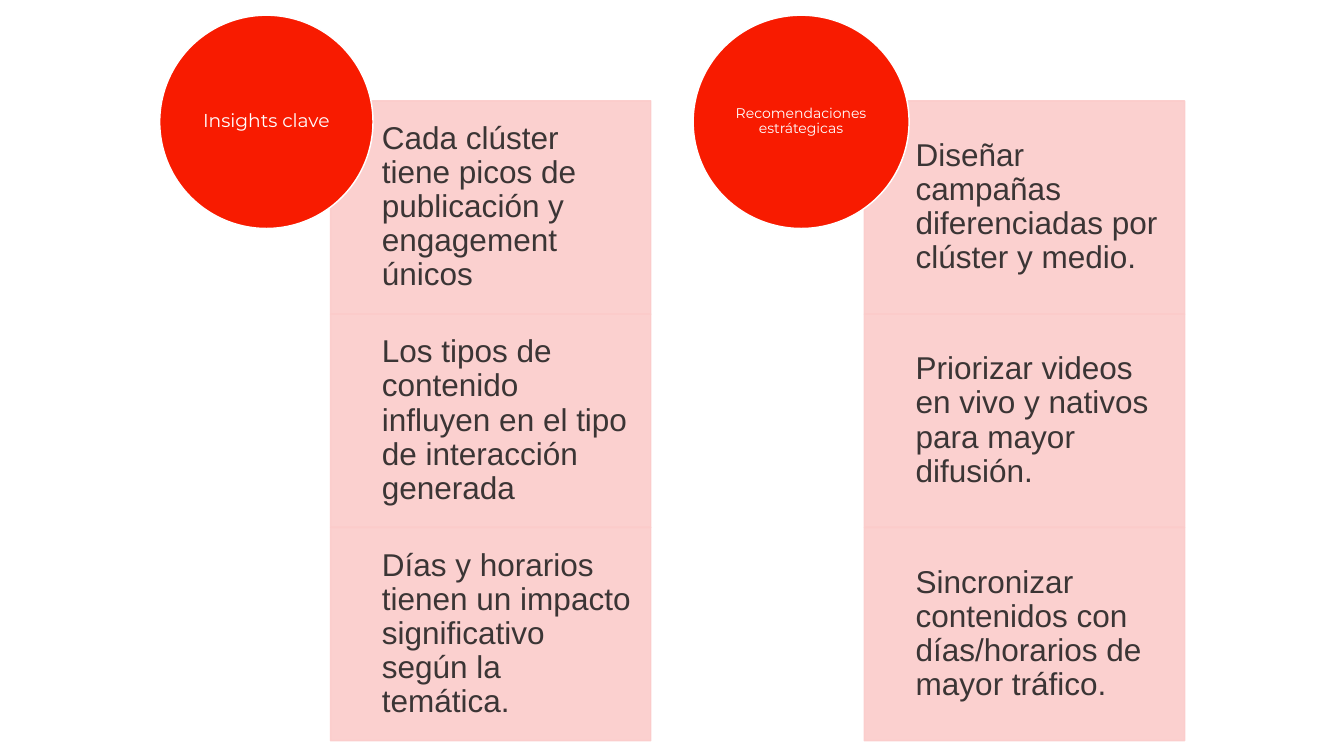
from lxml.etree import SubElement
from pptx import Presentation
from pptx.dml.color import RGBColor
from pptx.enum.shapes import MSO_SHAPE
from pptx.enum.text import MSO_ANCHOR, PP_ALIGN
from pptx.oxml.ns import qn
from pptx.util import Cm, Pt

RED = RGBColor(0xF8, 0x1B, 0x00)
PINK = RGBColor(0xFB, 0xCB, 0xCA)
INK = RGBColor(0x3B, 0x35, 0x35)
WHITE = RGBColor(0xFF, 0xFF, 0xFF)

GROUPS = [
    {"title": "Insights clave", "size": 16, "left": 4.83, "wide": 6.45,
     "cards": ["Cada clúster tiene picos de publicación y engagement únicos",
               "Los tipos de contenido influyen en el tipo de interacción generada",
               "Días y horarios tienen un impacto significativo según la temática."]},
    {"title": "Recomendaciones estrátegicas", "size": 12, "left": 20.96, "wide": 6.53,
     "cards": ["Diseñar campañas diferenciadas por clúster y medio.",
               "Priorizar videos en vivo y nativos para mayor difusión.",
               "Sincronizar contenidos con días/horarios de mayor tráfico."]},
]

CARD_X, CARD_STEP, CARD_Y = 10, 16.14, 3.05
CARD_W, CARD_H = 9.68, 6.45
DISC_Y = 0.46


def add_box(slide, kind, place, fill, line, text, font, size, color, align, pads):
    box = slide.shapes.add_shape(kind, *[Cm(n) for n in place])
    box.shadow.inherit = False
    box.fill.solid()
    box.fill.fore_color.rgb = fill
    box.line.color.rgb = line
    box.line.width = Pt(1.25)
    frame = box.text_frame
    frame.word_wrap = True
    frame.vertical_anchor = MSO_ANCHOR.MIDDLE
    (frame.margin_left, frame.margin_top,
     frame.margin_right, frame.margin_bottom) = [Cm(n) for n in pads]
    para = frame.paragraphs[0]
    para.alignment = align
    para.line_spacing = 0.9
    run = para.add_run()
    run.text = text
    run.font.name = font
    run.font.size = Pt(size)
    run.font.color.rgb = color
    return box


def fade(box, share):
    for tint in box.element.spPr.iter(qn("a:srgbClr")):
        SubElement(tint, qn("a:alpha"), val=str(share * 1000))


def main():
    deck = Presentation()
    deck.slide_width, deck.slide_height = Cm(40.64), Cm(22.86)
    slide = deck.slides.add_slide(deck.slide_layouts[6])
    for col, group in enumerate(GROUPS):
        for row, text in enumerate(group["cards"]):
            place = (CARD_X + col * CARD_STEP, CARD_Y + row * CARD_H, CARD_W, CARD_H)
            card = add_box(slide, MSO_SHAPE.RECTANGLE, place, PINK, PINK, text,
                           "Arial", 27, INK, PP_ALIGN.LEFT, (1.55, 0.53, 0.53, 0.53))
            fade(card, 90)
        place = (group["left"], DISC_Y, group["wide"], CARD_H)
        add_box(slide, MSO_SHAPE.OVAL, place, RED, WHITE, group["title"],
                "Montserrat", group["size"], WHITE, PP_ALIGN.CENTER, (0, 0, 0, 0))
    deck.save("out.pptx")


if __name__ == "__main__":
    main()
